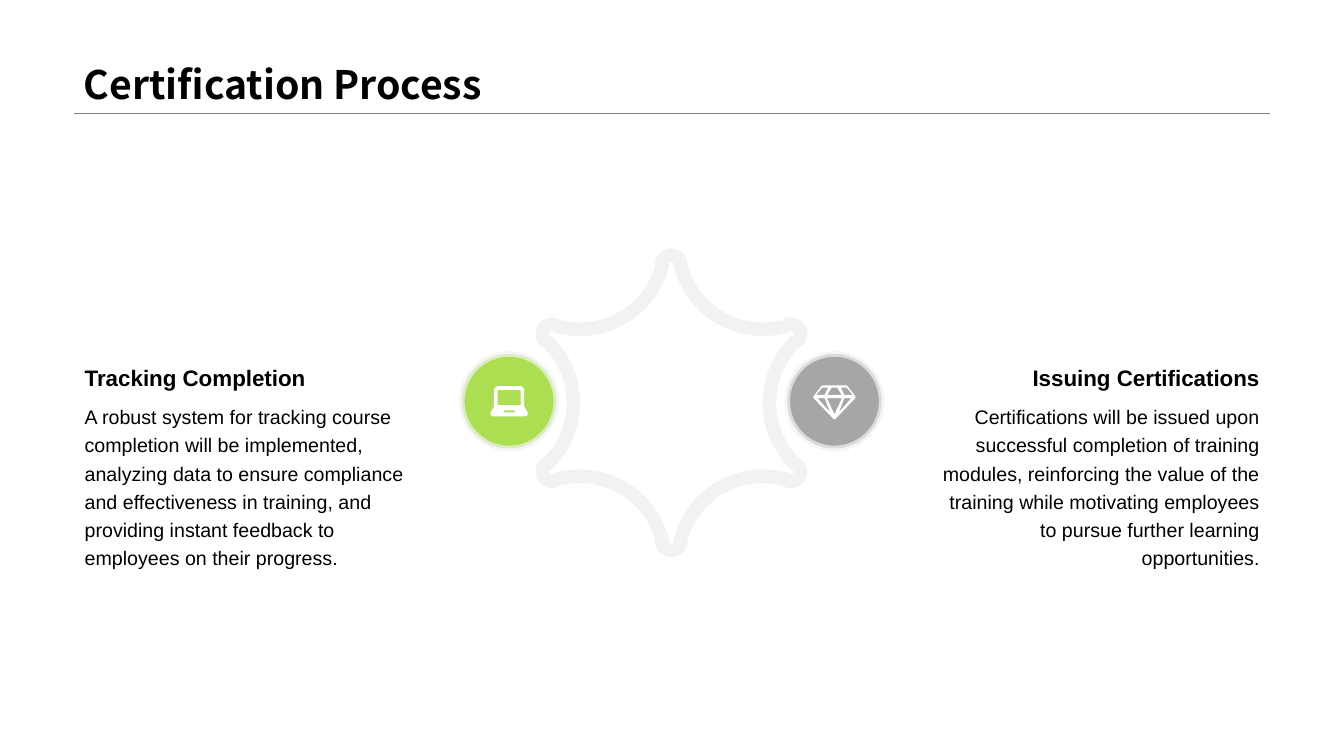
import math

import lxml.etree
import pptx
import pptx.dml.color
import pptx.enum.shapes
import pptx.enum.text
import pptx.oxml.ns
import pptx.util

Cm = pptx.util.Cm
Pt = pptx.util.Pt
RGBColor = pptx.dml.color.RGBColor
PP_ALIGN = pptx.enum.text.PP_ALIGN
MSO_ANCHOR = pptx.enum.text.MSO_ANCHOR
MSO_AUTO_SIZE = pptx.enum.text.MSO_AUTO_SIZE

BLACK = RGBColor(0x00, 0x00, 0x00)
WHITE = RGBColor(0xFF, 0xFF, 0xFF)
RULE_GRAY = RGBColor(0x80, 0x80, 0x80)
PALE_GRAY = RGBColor(0xF2, 0xF2, 0xF2)
GRAY = RGBColor(0xA6, 0xA6, 0xA6)
GREEN = RGBColor(0xAB, 0xDE, 0x51)

TITLE = "Certification Process"
TITLE_FONT = "Noto Sans CJK SC"
BODY_FONT = "Arial"

LAPTOP_HALVES = [
    [(29, -38), (35, -35), (38, -29), (38, 13), (46, 27), (47, 28), (47, 33), (45, 37), (41, 38)],
    [(29, -28), (29, 10)],
    [(12, 23), (15, 28)],
]
DIAMOND_HALVES = [
    [(29, -40), (33, -38), (53, -12), (53, -8), (2, 45)],
    [(7, -34), (18, -16)],
    [(19, -8), (0, 33)],
]
DIAMOND_SIDES = [
    [(46, -16), (31, -34), (16, -34), (25, -16)],
    [(43, -8), (25, -8), (11, 28)],
]

STEPS = [
    {
        "heading": "Tracking Completion",
        "body": "A robust system for tracking course completion will be implemented, "
                "analyzing data to ensure compliance and effectiveness in training, and "
                "providing instant feedback to employees on their progress.",
        "left": 1.88, "align": PP_ALIGN.LEFT,
        "disc_x": 12.83, "colour": GREEN,
        "halves": LAPTOP_HALVES, "sides": [],
    },
    {
        "heading": "Issuing Certifications",
        "body": "Certifications will be issued upon successful completion of training "
                "modules, reinforcing the value of the training while motivating employees "
                "to pursue further learning opportunities.",
        "left": 23.16, "align": PP_ALIGN.RIGHT,
        "disc_x": 21.03, "colour": GRAY,
        "halves": DIAMOND_HALVES, "sides": DIAMOND_SIDES,
    },
]

RULE_LEFT, RULE_RIGHT, RULE_TOP = 1.86, 32.0, 2.84
COLUMN_WIDTH = 8.84
DISC_Y, DISC_SIZE = 10.11, 2.38
STAR_X, STAR_Y = 16.92, 10.15
STAR_POINTS = 6
VALLEY_DISTANCE, VALLEY_RADIUS = 4.62, 2.15
TIP_DISTANCE, TIP_RADIUS = 3.48, 0.24
HALF_BAND = 0.17
ARC_STEPS = 20


def mirror(points):
    return [(-x, y) for x, y in reversed(points)]


def icon_contours(halves, sides):
    contours = [half + mirror(half) for half in halves]
    return contours + sides + [mirror(side) for side in sides]


def arc(centre_distance, centre_angle, radius, start, end):
    centre_x = centre_distance * math.cos(centre_angle)
    centre_y = centre_distance * math.sin(centre_angle)
    angles = [start + (end - start) * i / ARC_STEPS for i in range(ARC_STEPS + 1)]
    return [(centre_x + radius * math.cos(a), centre_y + radius * math.sin(a)) for a in angles]


def star_contour(offset):
    """Join concave valleys and rounded tips that touch smoothly, in thousandths of a cm."""
    half_step = math.pi / STAR_POINTS
    across = TIP_DISTANCE * math.sin(half_step)
    inward = VALLEY_DISTANCE - TIP_DISTANCE * math.cos(half_step)
    spread = math.atan2(across, inward)
    points = []
    for index in range(STAR_POINTS):
        valley = 2 * half_step * index
        tip = valley + half_step
        sweep = math.pi - spread - half_step
        facing = valley + math.pi
        points += arc(VALLEY_DISTANCE, valley, VALLEY_RADIUS - offset, facing + spread, facing - spread)
        points += arc(TIP_DISTANCE, tip, TIP_RADIUS + offset, tip - sweep, tip + sweep)
    return [(x * 1000, y * 1000) for x, y in points]


def draw_outline(slide, contours, scale, x, y, colour):
    builder = slide.shapes.build_freeform(*contours[0][0], scale=Cm(scale))
    for index, contour in enumerate(contours):
        if index:
            builder.move_to(*contour[0])
        builder.add_line_segments(contour[1:], close=True)
    shape = builder.convert_to_shape(Cm(x), Cm(y))
    shape.shadow.inherit = False
    shape.fill.solid()
    shape.fill.fore_color.rgb = colour
    shape.line.fill.background()


def draw_disc(slide, x, y, colour):
    corner = Cm(x - DISC_SIZE / 2), Cm(y - DISC_SIZE / 2)
    disc = slide.shapes.add_shape(
        pptx.enum.shapes.MSO_SHAPE.OVAL, *corner, Cm(DISC_SIZE), Cm(DISC_SIZE))
    disc.shadow.inherit = False
    disc.fill.solid()
    disc.fill.fore_color.rgb = colour
    disc.line.width = Pt(4)
    disc.line.color.rgb = PALE_GRAY
    line_colour = disc.element.find(".//" + pptx.oxml.ns.qn("a:ln") + "//" + pptx.oxml.ns.qn("a:srgbClr"))
    lxml.etree.SubElement(line_colour, pptx.oxml.ns.qn("a:alpha"), val="70000")


def fill_placeholder(shape, text, box, font, size, bold, align, spacing, anchor, auto_size):
    shape.left, shape.top, shape.width, shape.height = [Cm(length) for length in box]
    frame = shape.text_frame
    frame.text = text
    frame.word_wrap = True
    frame.vertical_anchor = anchor
    frame.auto_size = auto_size
    paragraph = frame.paragraphs[0]
    paragraph.alignment = align
    paragraph.line_spacing = spacing
    paragraph.space_before = Pt(0)
    properties = paragraph._p.get_or_add_pPr()
    properties.set("marL", "0")
    properties.set("indent", "0")
    lxml.etree.SubElement(properties, pptx.oxml.ns.qn("a:buNone"))
    run_font = paragraph.runs[0].font
    run_font.name, run_font.size, run_font.bold = font, Pt(size), bold
    run_font.color.rgb = BLACK


def main():
    presentation = pptx.Presentation()
    presentation.slide_width, presentation.slide_height = Cm(33.87), Cm(19.05)
    slide = presentation.slides.add_slide(presentation.slide_layouts.get_by_name("Comparison"))

    rule = slide.shapes.add_connector(
        pptx.enum.shapes.MSO_CONNECTOR.STRAIGHT,
        Cm(RULE_LEFT), Cm(RULE_TOP), Cm(RULE_RIGHT), Cm(RULE_TOP))
    rule.line.width = Pt(0.25)
    rule.line.color.rgb = RULE_GRAY
    lxml.etree.SubElement(rule.element.spPr, pptx.oxml.ns.qn("a:effectLst"))

    fill_placeholder(
        slide.shapes.title, TITLE, (RULE_LEFT, 0, RULE_RIGHT - RULE_LEFT, RULE_TOP),
        TITLE_FONT, 28, True, PP_ALIGN.LEFT, 0.9, MSO_ANCHOR.BOTTOM, MSO_AUTO_SIZE.NONE)

    for index, step in enumerate(STEPS):
        heading, body = [slide.placeholders[2 * index + offset] for offset in (1, 2)]
        fill_placeholder(
            heading, step["heading"], (step["left"], 8.97, COLUMN_WIDTH, 0.94), BODY_FONT, 16, True,
            step["align"], 1.1, MSO_ANCHOR.TOP, MSO_AUTO_SIZE.SHAPE_TO_FIT_TEXT)
        fill_placeholder(
            body, step["body"], (step["left"], 9.96, COLUMN_WIDTH, 3.12), BODY_FONT, 14, False,
            step["align"], 1.2, MSO_ANCHOR.TOP, MSO_AUTO_SIZE.SHAPE_TO_FIT_TEXT)
        draw_disc(slide, step["disc_x"], DISC_Y, step["colour"])
        contours = icon_contours(step["halves"], step["sides"])
        draw_outline(slide, contours, 0.01, step["disc_x"], DISC_Y, WHITE)

    star = [star_contour(HALF_BAND), star_contour(-HALF_BAND)]
    draw_outline(slide, star, 0.001, STAR_X, STAR_Y, PALE_GRAY)
    presentation.save("out.pptx")


if __name__ == "__main__":
    main()
